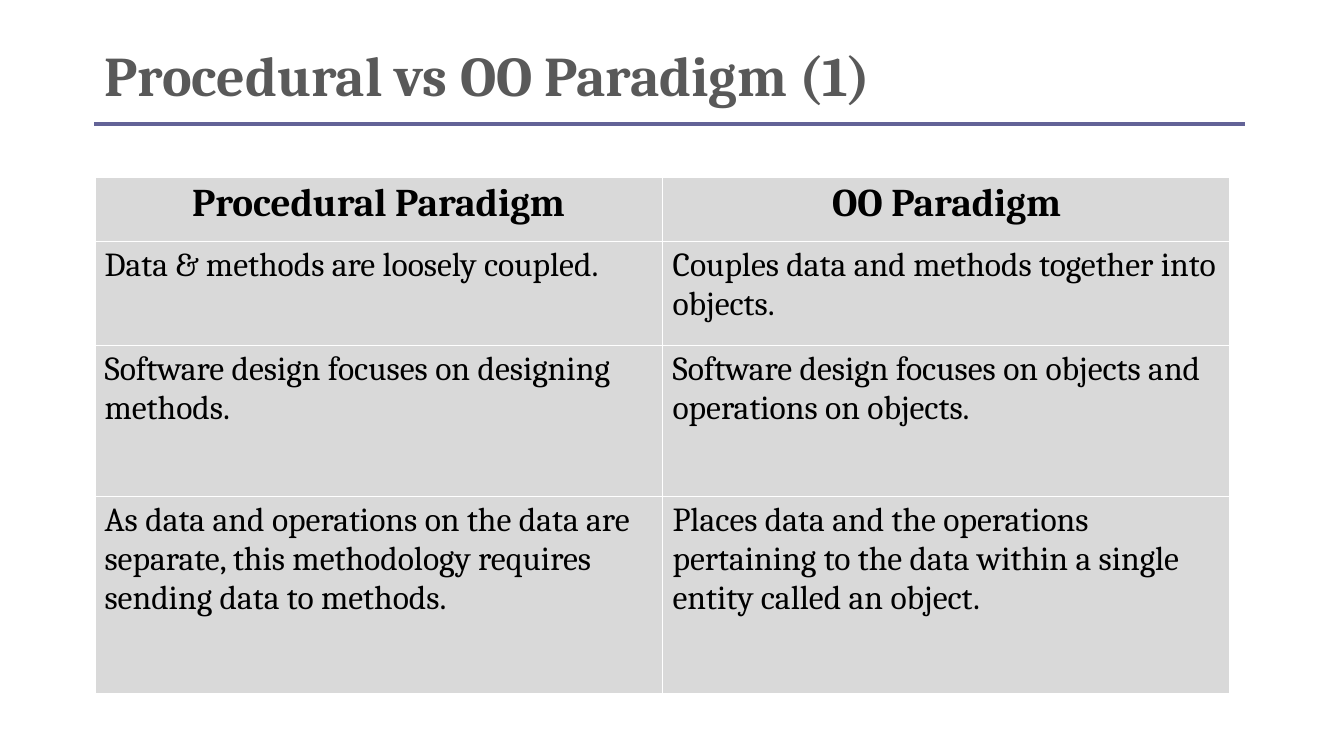
from lxml.etree import SubElement
from pptx import Presentation
from pptx.dml.color import RGBColor
from pptx.enum.shapes import MSO_CONNECTOR
from pptx.enum.text import MSO_ANCHOR, PP_ALIGN
from pptx.oxml.ns import qn
from pptx.util import Pt

GRAY = RGBColor(0x59, 0x59, 0x59)
BLACK = RGBColor(0, 0, 0)
WHITE = RGBColor(0xFF, 0xFF, 0xFF)
SILVER = RGBColor(0xD9, 0xD9, 0xD9)
VIOLET = RGBColor(0x63, 0x63, 0x97)
SCALE = 9525

ROWS = [
    ("Procedural Paradigm", "OO Paradigm"),
    ("Data & methods are loosely coupled.",
     "Couples data and methods together into objects."),
    ("Software design focuses on designing methods.",
     "Software design focuses on objects and operations on objects."),
    ("As data and operations on the data are separate, this methodology "
     "requires sending data to methods.",
     "Places data and the operations pertaining to the data within a single "
     "entity called an object."),
]


def px(*nums):
    return [num * SCALE for num in nums]


def write(frame, text, font="Cambria", size=24, color=BLACK, bold=False,
          align=PP_ALIGN.LEFT, space=1.0):
    para = frame.paragraphs[0]
    para.alignment = align
    para.line_spacing = space
    run = para.add_run()
    run.text = text
    run.font.name = font
    run.font.size = Pt(size)
    run.font.bold = bold
    run.font.color.rgb = color


def edge(cell, side, width):
    line = SubElement(cell._tc.get_or_add_tcPr(), qn(f"a:ln{side}"),
                      w=str(Pt(width)))
    fill = SubElement(line, qn("a:solidFill"))
    SubElement(fill, qn("a:srgbClr"), val=str(WHITE))


class Deck:
    thick = 2.25
    thin = 1

    def __init__(self, wide, high):
        self.file = Presentation()
        self.file.slide_width, self.file.slide_height = px(wide, high)
        self.slide = self.file.slides.add_slide(self.file.slide_layouts[6])

    def title(self, text, *box):
        frame = self.slide.shapes.add_textbox(*px(*box)).text_frame
        frame.word_wrap = True
        frame.vertical_anchor = MSO_ANCHOR.BOTTOM
        write(frame, text, size=40, color=GRAY, bold=True, space=0.8)

    def rule(self, *ends):
        line = self.slide.shapes.add_connector(MSO_CONNECTOR.STRAIGHT, *px(*ends))
        line.line.color.rgb = VIOLET
        line.line.width = Pt(2.5)
        SubElement(line._element.spPr, qn("a:effectLst"))

    def table(self, rows, left, top, wide, highs):
        count = len(rows[0])
        grid = self.slide.shapes.add_table(
            len(rows), count, *px(left, top, wide * count, sum(highs))).table
        grid.first_row = grid.horz_banding = False
        for col in grid.columns:
            col.width = wide * SCALE
        for r, (texts, high) in enumerate(zip(rows, highs)):
            grid.rows[r].height = high * SCALE
            for c, text in enumerate(texts):
                cell = grid.cell(r, c)
                outer = {"L": c == 0, "R": c == count - 1,
                         "T": r == 0, "B": r == len(rows) - 1}
                for side, out in outer.items():
                    edge(cell, side, self.thick if out else self.thin)
                cell.fill.solid()
                cell.fill.fore_color.rgb = SILVER
                head = r == 0
                write(cell.text_frame, text, size=28 if head else 24, bold=head,
                      align=PP_ALIGN.CENTER if head else PP_ALIGN.LEFT)

    def save(self):
        self.file.save("out.pptx")


def main():
    deck = Deck(1280, 720)
    deck.title("Procedural vs OO Paradigm (1)", 90, 32, 856, 75)
    deck.table(ROWS, 90, 168, 541, (62, 99, 144, 188))
    deck.rule(90, 118, 1186, 118)
    deck.save()


if __name__ == "__main__":
    main()
